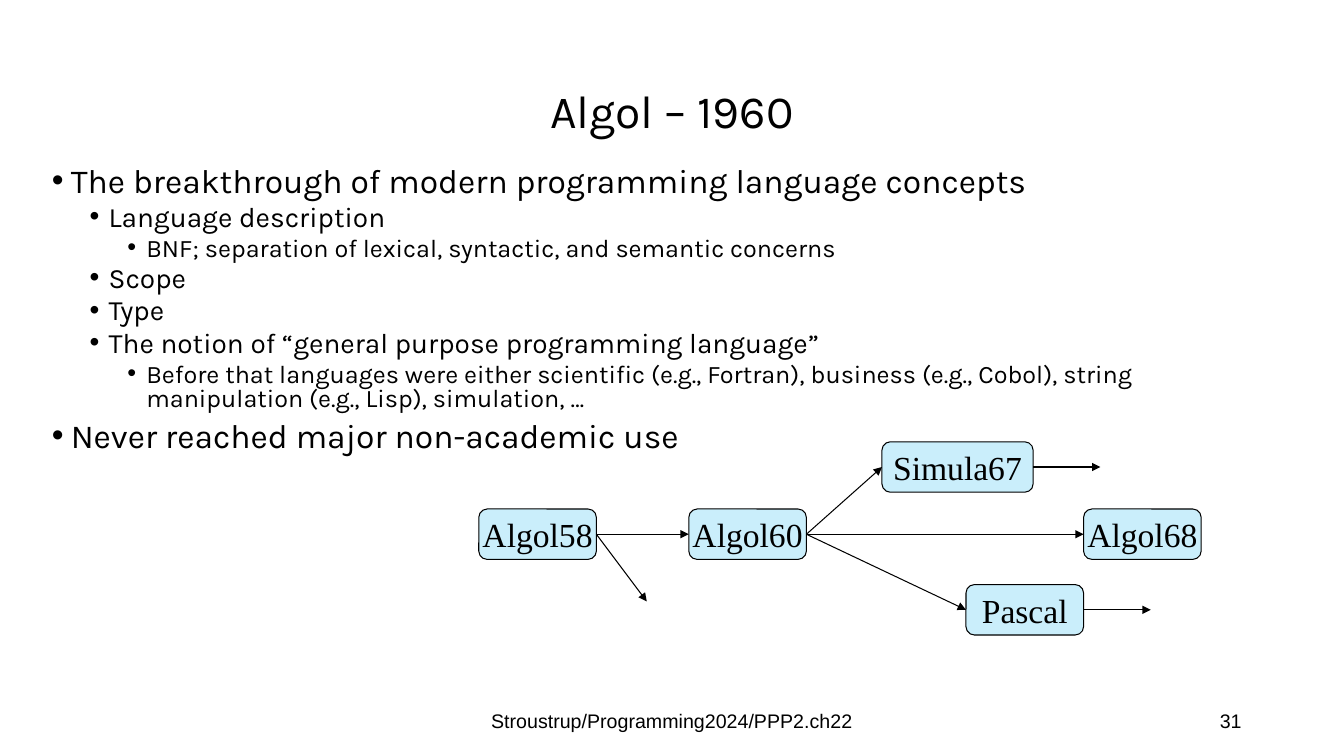
import pptx
import pptx.dml.color
import pptx.enum.shapes
import pptx.enum.text
import pptx.oxml.ns
import pptx.util
from lxml import etree

Pt = pptx.util.Pt
ALIGN = pptx.enum.text.PP_ALIGN
ANCHOR = pptx.enum.text.MSO_ANCHOR
BLACK = pptx.dml.color.RGBColor(0x00, 0x00, 0x00)
PALE_BLUE = pptx.dml.color.RGBColor(0xCA, 0xEE, 0xFB)

TOP, LEFT, BOTTOM, RIGHT = range(4)
BULLET_STYLES = [(24, 7.5), (20, 3.75), (18, 3.75)]
BULLETS = [
    (0, "The breakthrough of modern programming language concepts"),
    (1, "Language description"),
    (2, "BNF; separation of lexical, syntactic, and semantic concerns"),
    (1, "Scope"),
    (1, "Type"),
    (1, "The notion of “general purpose programming language”"),
    (2, "Before that languages were either scientific (e.g., Fortran), business (e.g., Cobol), "
        "string manipulation (e.g., Lisp), simulation, …"),
    (0, "Never reached major non-academic use"),
]
LANGUAGES = [
    ("Algol58", 342, 363.6, 84),
    ("Algol60", 492, 363.6, 84),
    ("Simula67", 630, 315.6, 108),
    ("Algol68", 774, 363.6, 84),
    ("Pascal", 690, 417.6, 84),
]
DESCENDANTS = [
    ("Algol58", "Algol60"),
    ("Algol60", "Simula67"),
    ("Algol60", "Pascal"),
    ("Algol60", "Algol68"),
]
OPEN_ARROWS = [("Simula67", 48, 0), ("Pascal", 48, 0), ("Algol58", 36, 48)]


class SlideBuilder:
    """Draw styled elements on one slide, with all lengths in points."""

    def __init__(self, presentation):
        self.slide = presentation.slides.add_slide(presentation.slide_layouts[5])
        self.shapes = self.slide.shapes

    def format_text(self, paragraph, font_name, size, alignment):
        paragraph.alignment = alignment
        for run in paragraph.runs:
            run.font.name = font_name
            run.font.size = Pt(size)
            run.font.color.rgb = BLACK

    def title(self, text, left, top, width, height):
        shape = self.shapes.title
        shape.left, shape.top, shape.width, shape.height = map(Pt, (left, top, width, height))
        frame = shape.text_frame
        frame.text = text
        frame.vertical_anchor = ANCHOR.MIDDLE
        frame.paragraphs[0].line_spacing = 0.9
        self.format_text(frame.paragraphs[0], "Karla", 33, ALIGN.CENTER)

    def text_box(self, left, top, width, height, anchor):
        frame = self.shapes.add_textbox(Pt(left), Pt(top), Pt(width), Pt(height)).text_frame
        frame.word_wrap = True
        frame.vertical_anchor = anchor
        return frame

    def bullets(self, items, left, top, width, height):
        frame = self.text_box(left, top, width, height, ANCHOR.TOP)
        for index, (level, text) in enumerate(items):
            paragraph = frame.add_paragraph() if index else frame.paragraphs[0]
            paragraph.text = text
            paragraph.level = level
            size, space_before = BULLET_STYLES[level]
            properties = paragraph._p.get_or_add_pPr()
            properties.set("marL", str(Pt(13.5 + 27 * level)))
            properties.set("indent", str(Pt(-13.5)))
            etree.SubElement(properties, pptx.oxml.ns.qn("a:buFont"), typeface="Arial")
            etree.SubElement(properties, pptx.oxml.ns.qn("a:buChar"), char="•")
            paragraph.line_spacing = 0.8
            paragraph.space_before = Pt(space_before if index else 0)
            self.format_text(paragraph, "Karla", size, ALIGN.LEFT)

    def footer(self, text, left, width, alignment):
        frame = self.text_box(left, 500.4, width, 28.8, ANCHOR.MIDDLE)
        frame.text = text
        self.format_text(frame.paragraphs[0], "Arial", 14, alignment)

    def language(self, name, left, top, width):
        shape = self.shapes.add_shape(
            pptx.enum.shapes.MSO_SHAPE.ROUNDED_RECTANGLE, Pt(left), Pt(top), Pt(width), Pt(36))
        shape.shadow.inherit = False
        shape.fill.solid()
        shape.fill.fore_color.rgb = PALE_BLUE
        shape.line.color.rgb = BLACK
        shape.line.width = Pt(0.75)
        frame = shape.text_frame
        frame.text = name
        frame.word_wrap = False
        frame.vertical_anchor = ANCHOR.MIDDLE
        self.format_text(frame.paragraphs[0], "Times New Roman", 24, ALIGN.CENTER)
        return shape

    def arrow(self, source, target=None, run=0, rise=0):
        start_x, start_y = source.left + source.width, source.top + source.height // 2
        connector = self.shapes.add_connector(
            pptx.enum.shapes.MSO_CONNECTOR.STRAIGHT,
            start_x, start_y, start_x + Pt(run), start_y + Pt(rise))
        connector.begin_connect(source, RIGHT)
        if target is not None:
            connector.end_connect(target, LEFT)
        connector.line.color.rgb = BLACK
        connector.line.width = Pt(0.75)
        etree.SubElement(connector.line._get_or_add_ln(),
                         pptx.oxml.ns.qn("a:tailEnd"), type="triangle")
        etree.SubElement(connector._element.spPr, pptx.oxml.ns.qn("a:effectLst"))


def main():
    presentation = pptx.Presentation()
    presentation.slide_width = Pt(960)
    presentation.slide_height = Pt(540)
    builder = SlideBuilder(presentation)
    builder.title("Algol – 1960", 66, 28.8, 828, 104.4)
    builder.bullets(BULLETS, 30, 116.6, 792, 216)
    builder.footer("Stroustrup/Programming2024/PPP2.ch22", 318, 324, ALIGN.CENTER)
    builder.footer("31", 678, 216, ALIGN.RIGHT)
    boxes = {name: builder.language(name, *place) for name, *place in LANGUAGES}
    for ancestor, descendant in DESCENDANTS:
        builder.arrow(boxes[ancestor], boxes[descendant])
    for name, run, rise in OPEN_ARROWS:
        builder.arrow(boxes[name], run=run, rise=rise)
    presentation.save("out.pptx")


if __name__ == "__main__":
    main()
